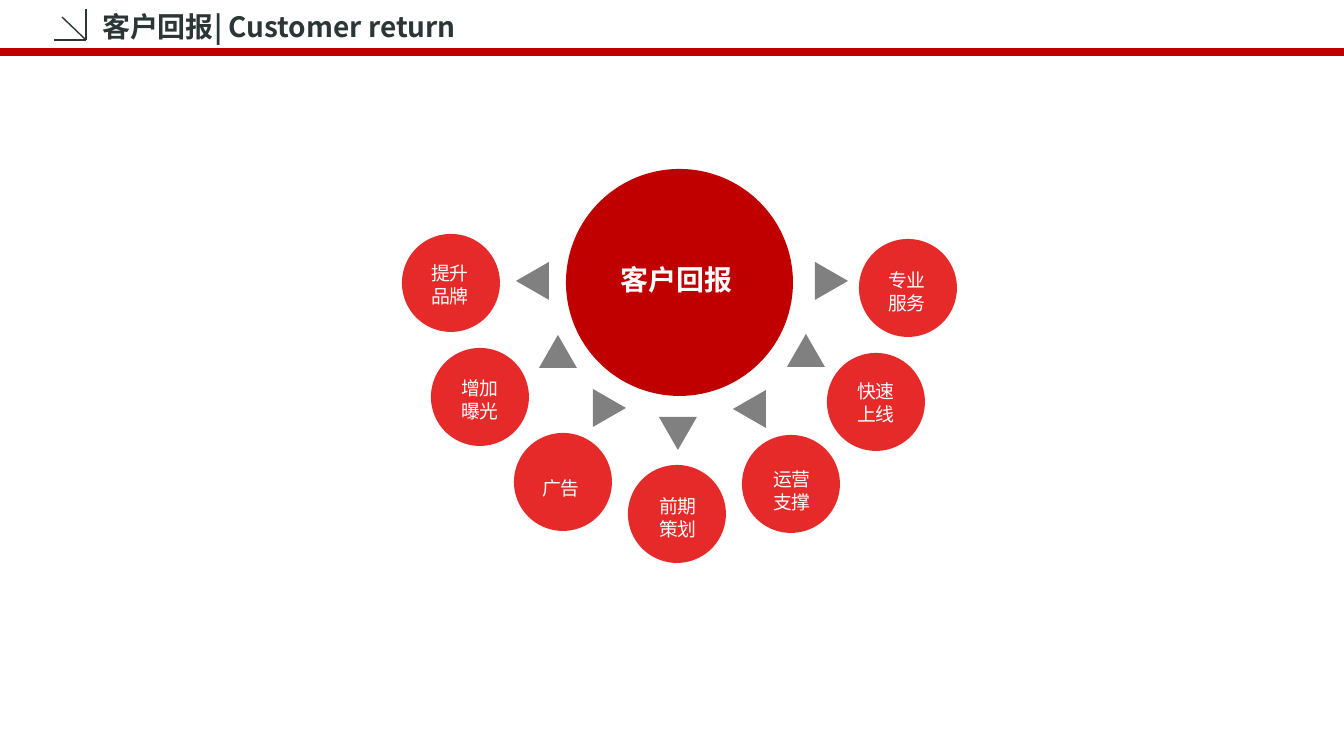
from dataclasses import dataclass

from lxml import etree
from pptx import Presentation
from pptx.dml.color import RGBColor
from pptx.enum.shapes import MSO_CONNECTOR, MSO_SHAPE
from pptx.enum.text import MSO_ANCHOR, PP_ALIGN
from pptx.oxml.ns import qn
from pptx.util import Emu, Pt

ELLIPSE = MSO_SHAPE.OVAL
RECTANGLE = MSO_SHAPE.RECTANGLE
STRAIGHT = MSO_CONNECTOR.STRAIGHT
MIDDLE = MSO_ANCHOR.MIDDLE
CENTER = PP_ALIGN.CENTER
LEFT = PP_ALIGN.LEFT

EMU_PER_PX = 914400 / 134.4
FONT = "Noto Sans CJK SC"
DARK_RED = "C00000"
BRIGHT_RED = "E62A2A"
GRAY = "808080"
INK = "2C3637"
WHITE = "FFFFFF"

BENEFIT_DIAMETER = 98
LABEL_WIDTH = 82
LINE_HEIGHT = 23
LABEL_PADDING = 13
TRIANGLE_TIP = 17
TRIANGLE_BASE = 16
TRIANGLE_HALF_WIDTH = 19


@dataclass(frozen=True)
class Benefit:
    x: int
    y: int
    label_x: int
    label_y: int
    paragraphs: tuple[str, ...]
    lines: int = 2


@dataclass(frozen=True)
class Pointer:
    x: int
    y: int
    dx: int
    dy: int


@dataclass(frozen=True)
class Segment:
    x1: int
    y1: int
    x2: int
    y2: int
    color: str = INK
    width: float = 0.75


SEGMENTS = [
    Segment(-5, 52, 1347, 52, DARK_RED, 4.5),
    Segment(54, 40, 86, 40),
    Segment(86, 40, 86, 9),
    Segment(86, 40, 62, 17),
]

POINTERS = [
    Pointer(533, 281, -1, 0),
    Pointer(558, 352, 0, -1),
    Pointer(609, 408, 1, 0),
    Pointer(678, 433, 0, 1),
    Pointer(750, 409, -1, 0),
    Pointer(806, 351, 0, -1),
    Pointer(831, 281, 1, 0),
]

BENEFITS = [
    Benefit(908, 288, 907, 291, ("专业", "服务")),
    Benefit(876, 402, 876, 402, ("快速", "上线")),
    Benefit(791, 484, 792, 490, ("运营", "支撑")),
    Benefit(677, 514, 678, 517, ("前期", "策划")),
    Benefit(563, 482, 561, 488, ("广告",), 1),
    Benefit(480, 397, 480, 399, ("增加", "曝光")),
    Benefit(451, 283, 450, 284, ("提升品牌",)),
]


def px(value: int) -> Emu:
    return Emu(round(value * EMU_PER_PX))


def rgb(color: str) -> RGBColor:
    return RGBColor.from_string(color)


def paint(shape, color: str) -> None:
    shape.shadow.inherit = False
    shape.fill.solid()
    shape.fill.fore_color.rgb = rgb(color)
    shape.line.fill.background()


def write(shape, paragraphs: tuple[str, ...], size: float, color: str,
          bold: bool = False, align=CENTER, line_points: int | None = None) -> None:
    frame = shape.text_frame
    frame.word_wrap = True
    frame.vertical_anchor = MIDDLE
    for index, text in enumerate(paragraphs):
        paragraph = frame.add_paragraph() if index else frame.paragraphs[0]
        paragraph.alignment = align
        if line_points:
            paragraph.line_spacing = Pt(line_points)
        run = paragraph.add_run()
        run.text = text
        run.font.size = Pt(size)
        run.font.bold = bold
        run.font.color.rgb = rgb(color)
        run.font.name = FONT
        east_asian = etree.SubElement(run.font._element, qn("a:ea"))
        east_asian.set("typeface", FONT)


def draw_text_box(slide, left: int, top: int, width: int, height: int):
    return slide.shapes.add_textbox(px(left), px(top), px(width), px(height))


def draw_segment(slide, segment: Segment) -> None:
    connector = slide.shapes.add_connector(
        STRAIGHT, px(segment.x1), px(segment.y1), px(segment.x2), px(segment.y2))
    connector.line.color.rgb = rgb(segment.color)
    connector.line.width = Pt(segment.width)
    etree.SubElement(connector._element.spPr, qn("a:effectLst"))


def draw_pointer(slide, pointer: Pointer) -> None:
    tip = (px(pointer.x + TRIANGLE_TIP * pointer.dx),
           px(pointer.y + TRIANGLE_TIP * pointer.dy))
    corners = [
        (px(pointer.x - TRIANGLE_BASE * pointer.dx + side * pointer.dy),
         px(pointer.y - TRIANGLE_BASE * pointer.dy + side * pointer.dx))
        for side in (-TRIANGLE_HALF_WIDTH, TRIANGLE_HALF_WIDTH)
    ]
    builder = slide.shapes.build_freeform(*tip)
    builder.add_line_segments(corners, close=True)
    paint(builder.convert_to_shape(), GRAY)


def draw_circle(slide, left: int, top: int, diameter: int, color: str) -> None:
    circle = slide.shapes.add_shape(
        ELLIPSE, px(left), px(top), px(diameter), px(diameter))
    paint(circle, color)


def draw_benefit(slide, benefit: Benefit) -> None:
    radius = BENEFIT_DIAMETER // 2
    draw_circle(slide, benefit.x - radius, benefit.y - radius,
                BENEFIT_DIAMETER, BRIGHT_RED)
    height = benefit.lines * LINE_HEIGHT + LABEL_PADDING
    label = draw_text_box(slide, benefit.label_x - LABEL_WIDTH // 2,
                          benefit.label_y - height // 2, LABEL_WIDTH, height)
    write(label, benefit.paragraphs, 10.1, WHITE, line_points=12)


def draw_center(slide) -> None:
    draw_circle(slide, 566, 169, 227, DARK_RED)
    label = slide.shapes.add_shape(RECTANGLE, px(595), px(256), px(164), px(47))
    paint(label, DARK_RED)
    write(label, ("客户回报",), 15, WHITE, bold=True)


def main() -> None:
    presentation = Presentation()
    presentation.slide_width = px(1344)
    presentation.slide_height = px(756)
    slide = presentation.slides.add_slide(presentation.slide_layouts[6])

    title = draw_text_box(slide, 93, 4, 880, 44)
    title.text_frame.margin_left = title.text_frame.margin_right = px(9)
    write(title, ("客户回报| Customer return",), 15, INK, bold=True, align=LEFT)
    for segment in SEGMENTS:
        draw_segment(slide, segment)
    for pointer in POINTERS:
        draw_pointer(slide, pointer)
    draw_center(slide)
    for benefit in BENEFITS:
        draw_benefit(slide, benefit)
    presentation.save("out.pptx")


if __name__ == "__main__":
    main()
